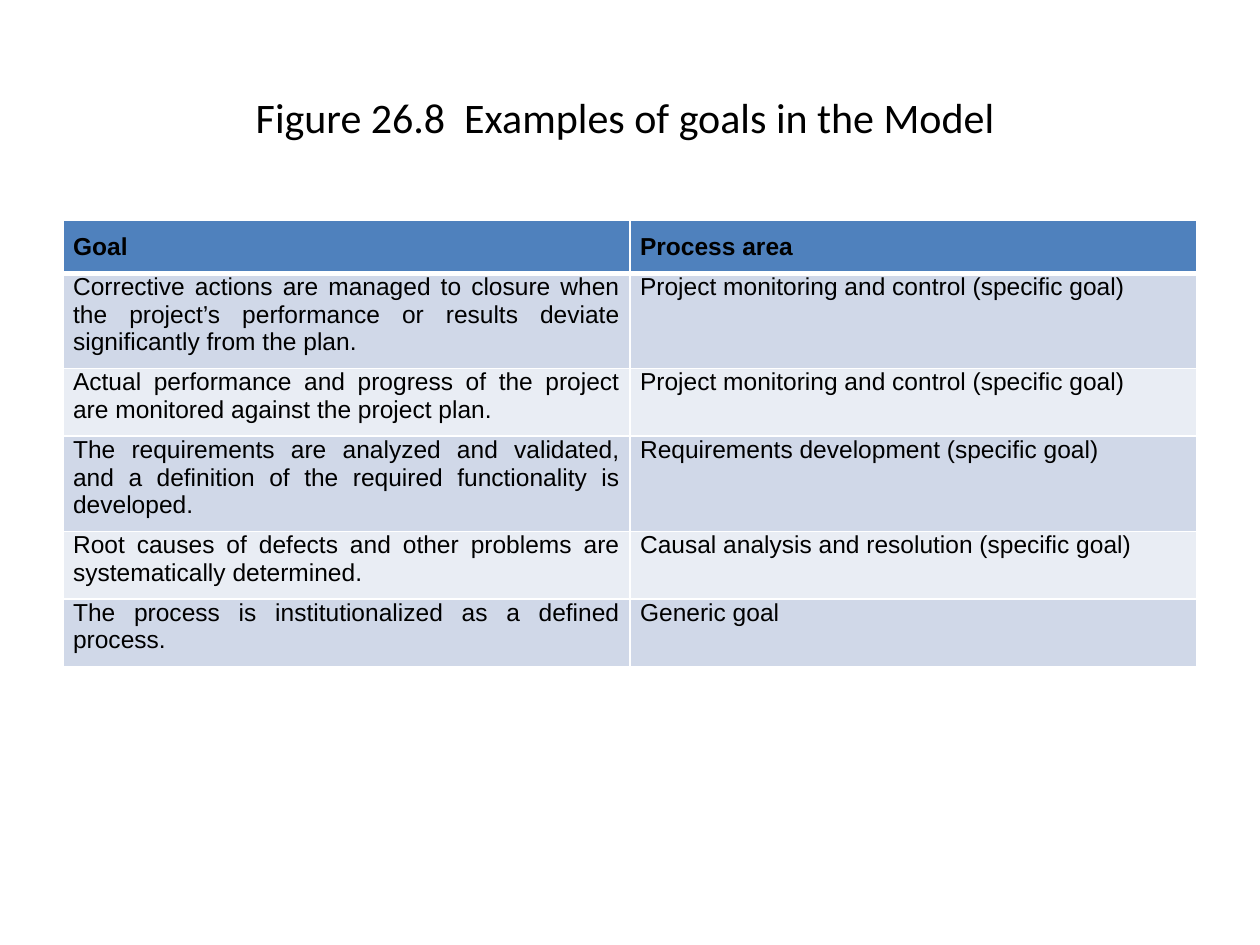
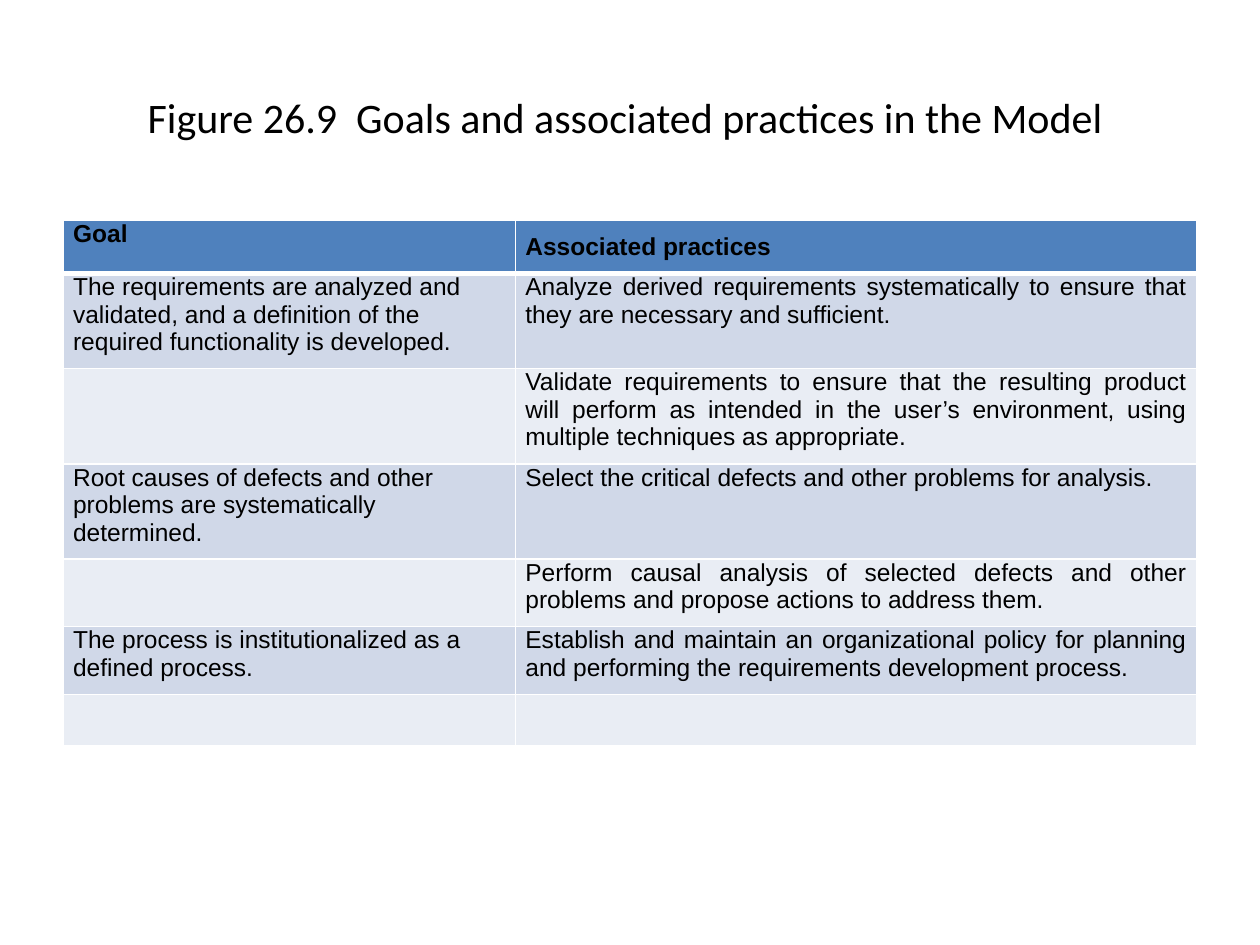
from dataclasses import dataclass

from lxml.etree import SubElement
from pptx import Presentation
from pptx.dml.color import RGBColor
from pptx.enum.text import MSO_ANCHOR, MSO_AUTO_SIZE, PP_ALIGN
from pptx.oxml.ns import qn
from pptx.util import Inches, Pt

LEFT, JUSTIFY = PP_ALIGN.LEFT, PP_ALIGN.JUSTIFY

FIGURES = [
    {
        "title": "Figure 26.8  Examples of goals in the Model ",
        "columns": (4.5, 4.5),
        "height": 3.73,
        "header_tops": (0.1, 0.1),
        "header_alignments": (JUSTIFY, JUSTIFY),
        "alignments": (JUSTIFY, LEFT),
        "rows": [
            ("Goal", "Process area"),
            ("Corrective actions are managed to closure when the project’s performance "
             "or results deviate significantly from the plan.",
             "Project monitoring and control (specific goal)"),
            ("Actual performance and progress of the project are monitored against "
             "the project plan.",
             "Project monitoring and control (specific goal)"),
            ("The requirements are analyzed and validated, and a definition of the "
             "required functionality is developed.",
             "Requirements development (specific goal)"),
            ("Root causes of defects and other problems are systematically determined.",
             "Causal analysis and resolution (specific goal)"),
            ("The process is institutionalized as a defined process.", "Generic goal"),
        ],
    },
    {
        "title": "Figure 26.9  Goals and associated practices in the Model ",
        "columns": (3.59, 5.41),
        "height": 4.37,
        "header_tops": (0, 0.1),
        "header_alignments": (LEFT, JUSTIFY),
        "alignments": (LEFT, JUSTIFY),
        "rows": [
            ("Goal", "Associated practices"),
            ("The requirements are analyzed and validated, and a definition of the "
             "required functionality is developed.",
             "Analyze derived requirements systematically to ensure that they are "
             "necessary and sufficient."),
            ("",
             "Validate requirements to ensure that the resulting product will perform "
             "as intended in the user’s environment, using multiple techniques as "
             "appropriate."),
            ("Root causes of defects and other problems are systematically determined.",
             "Select the critical defects and other problems for analysis."),
            ("",
             "Perform causal analysis of selected defects and other problems and "
             "propose actions to address them."),
            ("The process is institutionalized as a defined process.",
             "Establish and maintain an organizational policy for planning and "
             "performing the requirements development process."),
            ("", ""),
        ],
    },
]


@dataclass(frozen=True)
class Theme:
    text: str = "000000"
    header: str = "4F81BD"
    bands: tuple = ("D0D8E8", "E9EDF4")
    border: str = "FFFFFF"
    thin: int = 1
    thick: int = 3
    title_font: str = "Calibri"
    title_size: int = 24
    table_font: str = "Arial"
    table_size: int = 14


THEME = Theme()
MARGIN, CONTENT_WIDTH = 0.5, 9
TITLE_TOP, TITLE_HEIGHT = 0.3, 1.25
TABLE_TOP, ROW_HEIGHT = 1.75, 0.41
SIDE_INSET, BOTTOM_INSET = 0.08, 0.1


def style_text(paragraph, font_name, size, alignment, bold=False):
    paragraph.alignment = alignment
    for span in paragraph.runs:
        span.font.name = font_name
        span.font.size = Pt(size)
        span.font.bold = bold
        span.font.color.rgb = RGBColor.from_string(THEME.text)


def add_title(page, text):
    box = page.shapes.title
    box.left, box.top = Inches(MARGIN), Inches(TITLE_TOP)
    box.width, box.height = Inches(CONTENT_WIDTH), Inches(TITLE_HEIGHT)
    frame = box.text_frame
    frame.text = text
    frame.auto_size = MSO_AUTO_SIZE.NONE
    frame.vertical_anchor = MSO_ANCHOR.MIDDLE
    style_text(frame.paragraphs[0], THEME.title_font, THEME.title_size, PP_ALIGN.CENTER)


def set_borders(cell, row_number):
    """Draw the thick rule on the edge shared by the header and the first row."""
    widths = {
        "a:lnL": THEME.thin,
        "a:lnR": THEME.thin,
        "a:lnT": THEME.thick if row_number == 1 else THEME.thin,
        "a:lnB": THEME.thick if row_number == 0 else THEME.thin,
    }
    properties = cell._tc.get_or_add_tcPr()
    for tag, width in widths.items():
        line = SubElement(properties, qn(tag), w=str(Pt(width)))
        fill = SubElement(line, qn("a:solidFill"))
        SubElement(fill, qn("a:srgbClr"), val=THEME.border)


def fill_cell(cell, text, row_number, alignment, top_inset):
    is_header = row_number == 0
    set_borders(cell, row_number)
    cell.fill.solid()
    color = THEME.header if is_header else THEME.bands[(row_number - 1) % 2]
    cell.fill.fore_color.rgb = RGBColor.from_string(color)
    if text:
        cell.margin_left = cell.margin_right = Inches(SIDE_INSET)
        cell.margin_top, cell.margin_bottom = Inches(top_inset), Inches(BOTTOM_INSET)
        cell.text_frame.text = text
        style_text(cell.text_frame.paragraphs[0], THEME.table_font,
                   THEME.table_size, alignment, is_header)


def add_figure_table(page, figure):
    rows = figure["rows"]
    holder = page.shapes.add_table(
        len(rows), len(figure["columns"]), Inches(MARGIN), Inches(TABLE_TOP),
        Inches(CONTENT_WIDTH), Inches(figure["height"]))
    table = holder.table
    for column, width in zip(table.columns, figure["columns"]):
        column.width = Inches(width)
    for row_number, texts in enumerate(rows):
        table.rows[row_number].height = Inches(ROW_HEIGHT)
        is_header = row_number == 0
        alignments = figure["header_alignments" if is_header else "alignments"]
        tops = figure["header_tops"] if is_header else (0, 0)
        for column_number, text in enumerate(texts):
            fill_cell(table.cell(row_number, column_number), text, row_number,
                      alignments[column_number], tops[column_number])
    holder.height = Inches(figure["height"])


def main():
    deck = Presentation()
    deck.slide_width, deck.slide_height = Inches(10), Inches(7.5)
    title_only = deck.slide_layouts.get_by_name("Title Only")
    for figure in FIGURES:
        page = deck.slides.add_slide(title_only)
        add_title(page, figure["title"])
        add_figure_table(page, figure)
    deck.save("out.pptx")


if __name__ == "__main__":
    main()
